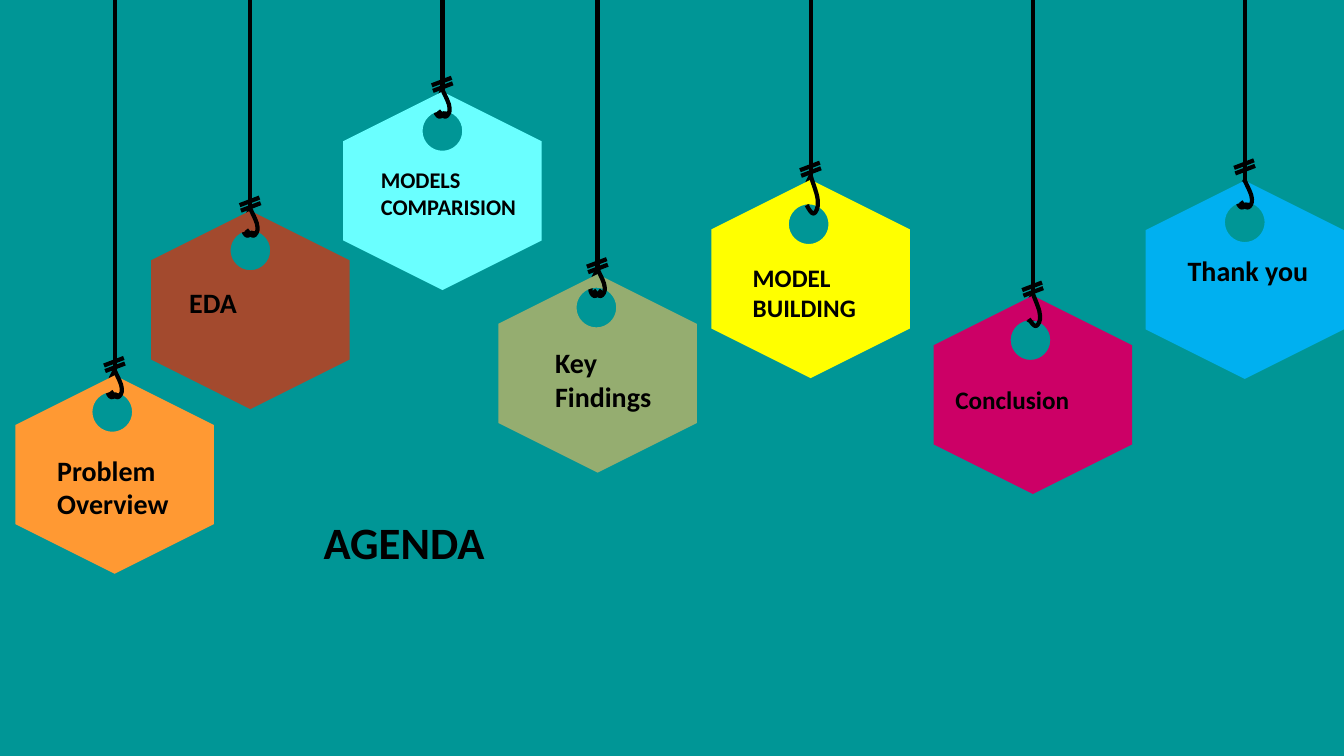
from dataclasses import dataclass

import lxml.etree
import pptx
import pptx.dml.color
import pptx.enum.shapes
import pptx.enum.text
import pptx.oxml.ns
import pptx.util

Cm = pptx.util.Cm
RGBColor = pptx.dml.color.RGBColor

TEAL = RGBColor(0x00, 0x96, 0x96)
BLACK = RGBColor(0x00, 0x00, 0x00)
ORANGE = RGBColor(0xFF, 0x99, 0x33)
RUST = RGBColor(0xA3, 0x4A, 0x2E)
AQUA = RGBColor(0x6A, 0xFF, 0xFF)
OLIVE = RGBColor(0x95, 0xAD, 0x70)
YELLOW = RGBColor(0xFF, 0xFF, 0x00)
MAGENTA = RGBColor(0xCC, 0x00, 0x66)
BLUE = RGBColor(0x00, 0xB0, 0xF0)

FONT = "Calibri"
LINE_WIDTH = pptx.util.Pt(3)
TAG_SIZE = 5.0
HOLE_RADIUS = 0.5
# Start, then control, control and end point of each curve
HOOK_POINTS = ((0, 0), (0.08, 0.18), (0.18, 0.35), (0.18, 0.46),
               (0.2, 0.57), (0.13, 0.67), (0.08, 0.68),
               (0.03, 0.69), (-0.04, 0.61), (-0.1, 0.53))
BEND = 0.55
CIRCLE_POINTS = ((0, -1), (-BEND, -1), (-1, -BEND), (-1, 0),
                 (-1, BEND), (-BEND, 1), (0, 1),
                 (BEND, 1), (1, BEND), (1, 0),
                 (1, -BEND), (BEND, -1), (0, -1))


@dataclass
class Tag:
    """Lengths in cm; hole, hook, knot and label are offsets from the tag's top."""
    text: str
    color: RGBColor
    centre: float
    top: float
    hole: tuple  # from the top corner to the centre of the hole
    hook: float
    knot: float
    label: tuple  # left from the tag's left side, top, width, height
    size: int
    stretch: float = 1.0


TAGS = (
    Tag("Problem Overview", ORANGE, 2.89, 9.46, (-0.06, 0.92), -0.13, -0.11,
        (0.8, 1.84, 3.73, 1.96), 20),
    Tag("EDA", RUST, 6.31, 5.31, (0, 1), -0.05, 0, (0.71, 1.77, 3.73, 1.12), 20),
    Tag("MODELS COMPARISION", AQUA, 11.15, 2.31, (0, 0.99), -0.05, -0.02,
        (0.7, 1.75, 4.17, 1.63), 16),
    Tag("Key Findings", OLIVE, 15.06, 6.91, (-0.03, 0.84), -0.13, -0.05,
        (1.18, 1.67, 3.1, 1.96), 20),
    Tag("MODEL BUILDING", YELLOW, 20.43, 4.53, (-0.05, 1.12), -0.1, -0.1,
        (0.79, 1.95, 3.56, 1.8), 18, 1.4),
    Tag("  Conclusion", MAGENTA, 26.03, 7.45, (-0.06, 1.12), -0.05, 0,
        (0.01, 2.12, 6.07, 1.02), 18, 1.2),
    Tag("Thank you", BLUE, 31.37, 4.55, (0, 1.05), 0, -0.18,
        (0.81, 1.72, 3.73, 1.12), 20),
)


def to_emu(points):
    return [(Cm(x), Cm(y)) for x, y in points]


def add_line(slide, start, end):
    (start_x, start_y), (end_x, end_y) = to_emu((start, end))
    connector = slide.shapes.add_connector(
        pptx.enum.shapes.MSO_CONNECTOR.STRAIGHT, start_x, start_y, end_x, end_y)
    connector.line.color.rgb = BLACK
    connector.line.width = LINE_WIDTH
    properties = connector._element.spPr
    lxml.etree.SubElement(properties, pptx.oxml.ns.qn("a:effectLst"))


def bend_segments(shape, count):
    """Turn the first straight segments, three at a time, into count cubic curves."""
    segments = list(shape._element.iter(pptx.oxml.ns.qn("a:lnTo")))[:3 * count]
    for first, second, third in zip(segments[::3], segments[1::3], segments[2::3]):
        first.tag = pptx.oxml.ns.qn("a:cubicBezTo")
        for segment in (second, third):
            first.append(segment[0])
            segment.getparent().remove(segment)


def add_hook(slide, x, y, direction=1, stretch=1.0):
    """Draw a hook hanging from x, y; direction -1 mirrors it."""
    points = to_emu((x + direction * dx, y + stretch * dy) for dx, dy in HOOK_POINTS)
    builder = slide.shapes.build_freeform(*points[0])
    builder.add_line_segments(points[1:], close=False)
    shape = builder.convert_to_shape()
    bend_segments(shape, 3)
    shape.shadow.inherit = False
    shape.fill.background()
    shape.line.color.rgb = BLACK
    shape.line.width = LINE_WIDTH


def add_hexagon(slide, tag):
    """Draw the hexagon with its round hole as one outline."""
    x, y, half = tag.centre, tag.top, TAG_SIZE / 2
    upper, lower = y + TAG_SIZE / 4, y + TAG_SIZE * 3 / 4
    corners = to_emu(((x, y), (x + half, upper), (x + half, lower),
                      (x, y + TAG_SIZE), (x - half, lower), (x - half, upper)))
    hole_x, hole_y = x + tag.hole[0], y + tag.hole[1]
    hole = to_emu((hole_x + HOLE_RADIUS * dx, hole_y + HOLE_RADIUS * dy)
                  for dx, dy in CIRCLE_POINTS)
    builder = slide.shapes.build_freeform(*hole[0])
    builder.add_line_segments(hole[1:], close=True)
    builder.move_to(*corners[0])
    builder.add_line_segments(corners[1:], close=True)
    shape = builder.convert_to_shape()
    bend_segments(shape, 4)
    shape.shadow.inherit = False
    shape.fill.solid()
    shape.fill.fore_color.rgb = tag.color
    shape.line.fill.background()


def write_text(shape, text, size):
    frame = shape.text_frame
    frame.word_wrap = True
    frame.auto_size = pptx.enum.text.MSO_AUTO_SIZE.SHAPE_TO_FIT_TEXT
    frame.vertical_anchor = pptx.enum.text.MSO_ANCHOR.TOP
    paragraph = frame.paragraphs[0]
    paragraph.alignment = pptx.enum.text.PP_ALIGN.LEFT
    paragraph.line_spacing = 1.0
    run = paragraph.add_run()
    run.text = text
    run.font.name = FONT
    run.font.size = pptx.util.Pt(size)
    run.font.bold = True
    run.font.color.rgb = BLACK


def add_hanging_tag(slide, tag):
    x, hook_y, knot_y = tag.centre, tag.top + tag.hook, tag.top + tag.knot
    add_hook(slide, x, hook_y, direction=-1)
    add_hexagon(slide, tag)
    left, top, width, height = tag.label
    label = slide.shapes.add_textbox(Cm(x - TAG_SIZE / 2 + left), Cm(tag.top + top),
                                     Cm(width), Cm(height))
    write_text(label, tag.text, tag.size)
    add_line(slide, (x, hook_y), (x, 0))
    add_hook(slide, x, hook_y, stretch=tag.stretch)
    for dx, dy in ((-0.24, 0), (-0.27, -0.14)):
        add_line(slide, (x + dx, knot_y + dy), (x + dx + 0.5, knot_y + dy - 0.19))


def place_title(slide, text, left, top, width, height):
    title = slide.shapes.title
    title.left, title.top = Cm(left), Cm(top)
    title.width, title.height = Cm(width), Cm(height)
    write_text(title, text, 32)


def build_agenda_slide(presentation):
    slide = presentation.slides.add_slide(presentation.slide_layouts[5])
    slide.background.fill.solid()
    slide.background.fill.fore_color.rgb = TEAL
    place_title(slide, "AGENDA", 7.9, 12.83, 7.19, 1.63)
    for tag in TAGS:
        add_hanging_tag(slide, tag)


def main():
    presentation = pptx.Presentation()
    presentation.slide_width = Cm(33.87)
    presentation.slide_height = Cm(19.05)
    build_agenda_slide(presentation)
    presentation.save("out.pptx")


if __name__ == "__main__":
    main()
